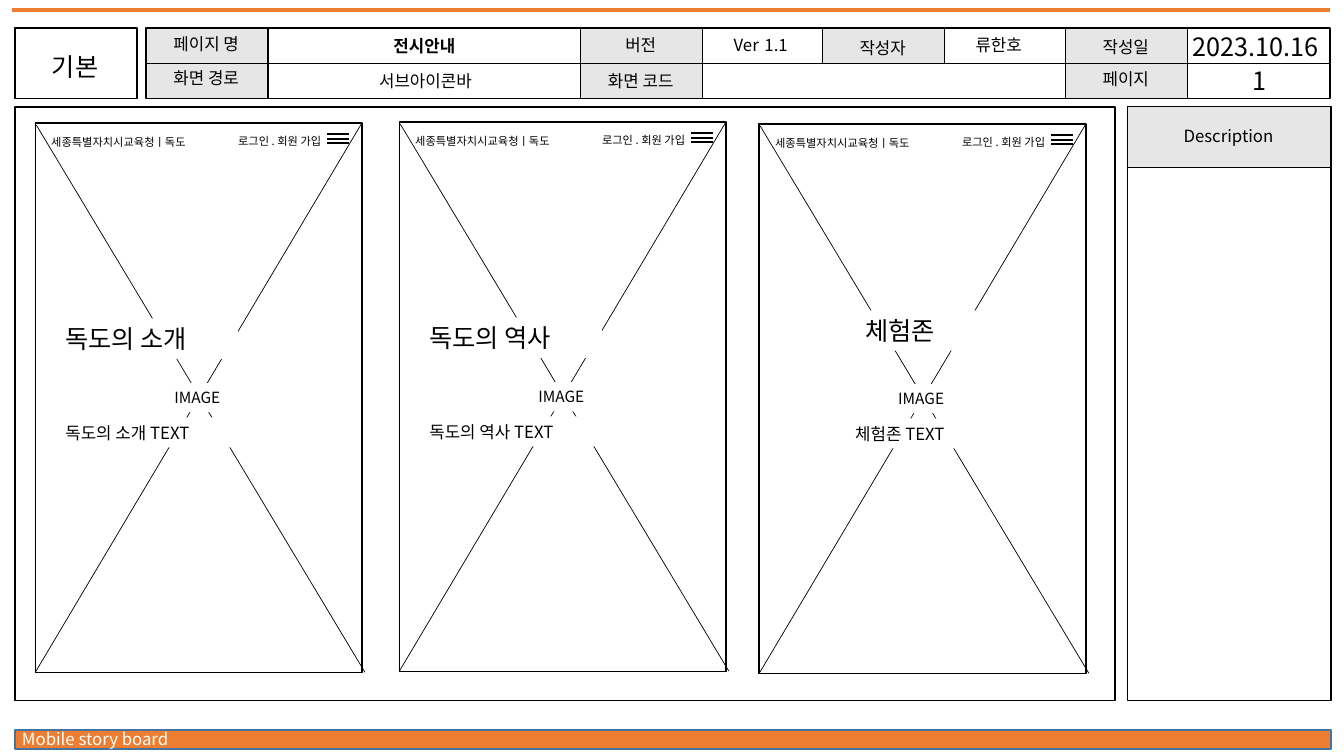
from lxml import etree
from pptx import Presentation
from pptx.dml.color import RGBColor
from pptx.enum.shapes import MSO_CONNECTOR, MSO_SHAPE
from pptx.enum.text import MSO_AUTO_SIZE, PP_ALIGN
from pptx.oxml.ns import qn
from pptx.util import Inches, Pt

LEFT, MID, RIGHT = PP_ALIGN.LEFT, PP_ALIGN.CENTER, PP_ALIGN.RIGHT
RECT, LINE = MSO_SHAPE.RECTANGLE, MSO_CONNECTOR.STRAIGHT
GROW = MSO_AUTO_SIZE.SHAPE_TO_FIT_TEXT
FONT = "Noto Sans CJK KR"
BLACK, WHITE, GREY, ORANGE, BLUE = "000000", "FFFFFF", "E7E6E6", "ED7D31", "43739E"
WIDE, HIGH = 13.33, 7.5
EDGE, END = 0.15, 13.19
CELL, ROW = 1.21, 0.35
COLS = [1.45, 5.76, 8.16, 10.57]
TOP, BODY, DEEP = 0.28, 1.06, 5.89
PHONE_W, PHONE_H = 3.24, 5.45


def color(text):
    return RGBColor.from_string(text)


def box(slide, x, y, w, h, fill=None, line=BLACK):
    shape = slide.shapes.add_shape(RECT, Inches(x), Inches(y), Inches(w), Inches(h))
    shape.shadow.inherit = False
    if fill:
        shape.fill.solid()
        shape.fill.fore_color.rgb = color(fill)
    else:
        shape.fill.background()
    shape.line.color.rgb = color(line)
    shape.line.width = Pt(1)


def rule(slide, x1, y1, x2, y2, width=1, tint=BLACK):
    line = slide.shapes.add_connector(LINE, Inches(x1), Inches(y1), Inches(x2), Inches(y2))
    line.line.color.rgb = color(tint)
    line.line.width = Pt(width)
    etree.SubElement(line._element.spPr, qn("a:effectLst"))


def label(slide, text, x, y, w, h=0.3, size=12, align=MID, tint=BLACK,
          fill=None, bold=False, wrap=True):
    shape = slide.shapes.add_textbox(Inches(x), Inches(y), Inches(w), Inches(h))
    if fill:
        shape.fill.solid()
        shape.fill.fore_color.rgb = color(fill)
    frame = shape.text_frame
    frame.word_wrap = wrap
    frame.auto_size = GROW
    par = frame.paragraphs[0]
    par.text = text
    par.alignment = align
    font = par.font
    font.size, font.bold, font.name = Pt(size), bold, FONT
    font.color.rgb = color(tint)
    etree.SubElement(par._p.pPr.find(qn("a:defRPr")), qn("a:ea"), typeface=FONT)
    return par


def version(slide):
    par = label(slide, "", 6.54, 0.21, 2.01, 0.4)
    for text, size in (("Ver", 12), (" ", 18), ("1.1", 12)):
        run = par.add_run()
        run.text = text
        run.font.size = Pt(size)


def header(slide):
    box(slide, EDGE, TOP, CELL, 2 * ROW)
    label(slide, "기본", 0.17, 0.46, 1.15, 0.42, 18)
    box(slide, COLS[0], TOP, END - COLS[0], 2 * ROW)
    for x, rows in zip(COLS, (2, 2, 1, 2)):
        box(slide, x, TOP, CELL, rows * ROW, GREY)
    rule(slide, COLS[0], TOP + ROW, END, TOP + ROW, 0.5)
    names = (
        (0, "페이지 명", 0.29), (0, "화면 경로", 0.62),
        (1, "버전", 0.3), (1, "화면 코드", 0.65),
        (2, "작성자", 0.33),
        (3, "작성일", 0.32), (3, "페이지", 0.63),
    )
    for col, text, y in names:
        label(slide, text, COLS[col] + 0.02, y, 1.15)
    label(slide, "전시안내", 3.06, 0.31, 2.3, bold=True)
    label(slide, "서브아이콘바", 3.07, 0.65, 2.3)
    version(slide)
    label(slide, "류한호", 8.9, 0.3, 2.01)
    label(slide, "2023.10.16", 11.45, 0.26, 2.01, 0.4, 18)
    label(slide, "1", 11.8, 0.6, 1.39, 0.4, 18)


def phone(slide, x, y, name, dx, dy, align):
    box(slide, x, y, PHONE_W, PHONE_H)
    label(slide, "세종특별자치시교육청ㅣ독도", x + 0.06, y + 0.07, 1.87, 0.24, 8, LEFT)
    label(slide, "로그인 . 회원 가입 ", x + 1.72, y + 0.06, 1.24, 0.24, 8, RIGHT)
    for bar in (0.11, 0.16, 0.2):
        rule(slide, x + 2.89, y + bar, x + 3.11, y + bar)
    rule(slide, x, y + PHONE_H, x + PHONE_W, y, 0.5)
    rule(slide, x + 3.27, y + PHONE_H, x + 0.01, y + 0.02, 0.5)
    label(slide, "IMAGE", x + 1.28, y + 2.58, 0.68, 0.29, 11, LEFT, fill=WHITE, wrap=False)
    label(slide, name, x + dx, y + dy, 1.81, 0.4, 18, align, fill=WHITE)
    label(slide, name + " TEXT", x + dx, y + 2.92, 1.81, 0.3, 12, align, fill=WHITE)


def notes(slide):
    box(slide, 11.18, BODY, 2.02, DEEP)
    box(slide, 11.18, BODY, 2.02, 0.6, GREY)
    label(slide, "Description", 11.32, 1.2, 1.73)


def main():
    deck = Presentation()
    deck.slide_width, deck.slide_height = Inches(WIDE), Inches(HIGH)
    slide = deck.slides.add_slide(deck.slide_layouts[6])
    rule(slide, 0.12, 0.1, END, 0.1, 3, ORANGE)
    box(slide, EDGE, 7.24, 13.05, 0.19, ORANGE, BLUE)
    label(slide, "Mobile story board", 0.12, 7.18, 3.2, align=LEFT, tint=WHITE)
    header(slide)
    box(slide, EDGE, BODY, 10.91, DEEP)
    notes(slide)
    phone(slide, 0.35, 1.22, "독도의 소개", 0.2, 1.94, LEFT)
    phone(slide, 3.96, 1.21, "독도의 역사", 0.2, 1.94, LEFT)
    phone(slide, 7.53, 1.23, "체험존", 0.49, 1.85, MID)
    deck.save("out.pptx")


main()
